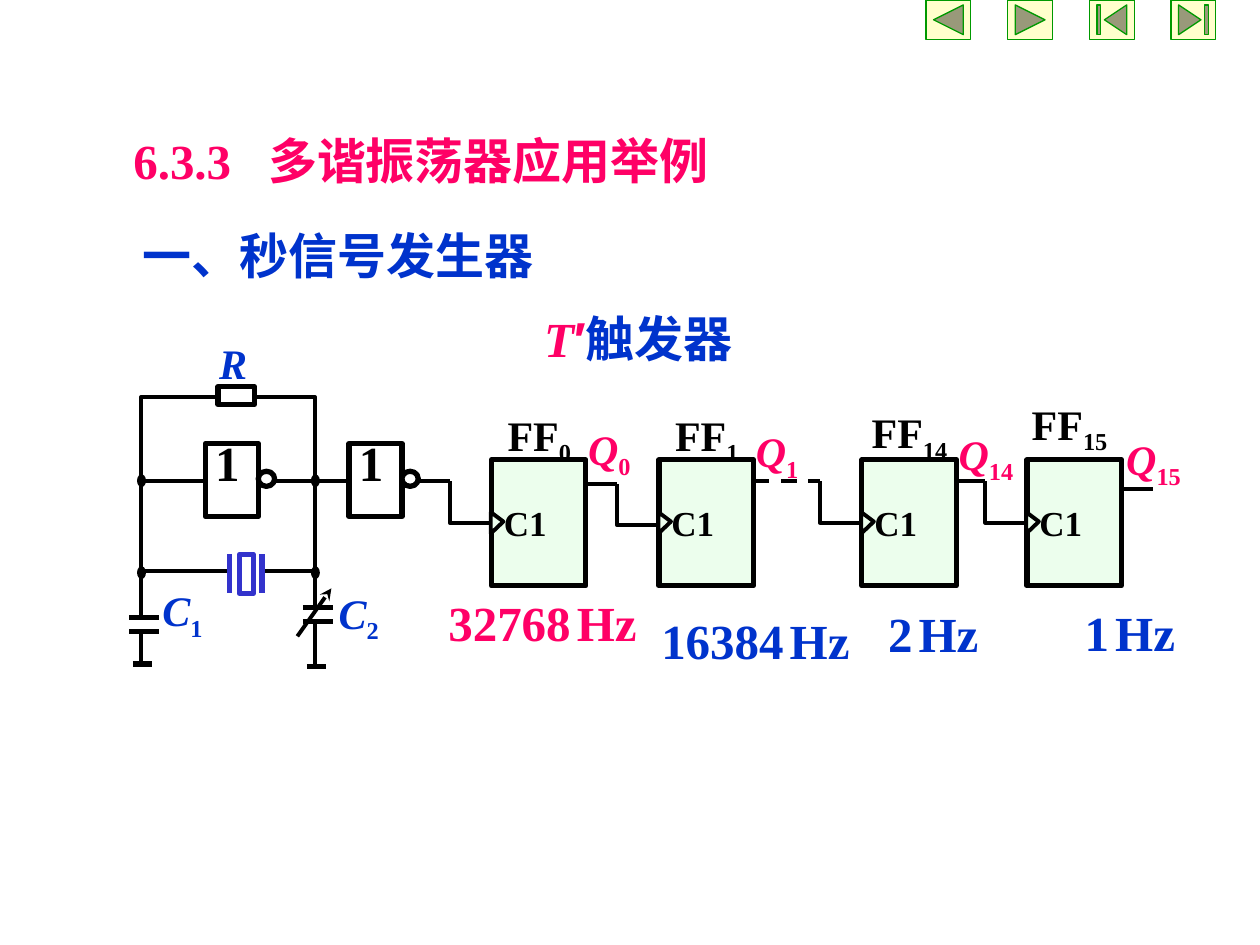
from lxml import etree
from pptx import Presentation
from pptx import util as u
from pptx.dml.color import RGBColor
from pptx.enum import dml, shapes, text
from pptx.oxml import ns

COLORS = {
    "ink": "000000", "paper": "FFFFFF", "pink": "FF0066", "blue": "0033CC",
    "crystal": "3333CC", "mint": "ECFEED", "button": "FFFFCC", "green": "009900",
}
SERIF = "Times New Roman"
THIN, WIRE, THICK = 0.75, 2.25, 3
SHAPE = shapes.MSO_SHAPE

# The slide is a grid of 100 columns by 75 rows; every length below is in cells.
WIDTH, HEIGHT = u.Inches(10), u.Inches(7.5)
COLUMNS, ROWS = 100, 75


def col(n):
    return round(WIDTH * n / COLUMNS)


def row(n):
    return round(HEIGHT * n / ROWS)


def place(box):
    left, top, width, height = box
    return col(left), row(top), col(width), row(height)


def rgb(name):
    return RGBColor.from_string(COLORS[name])


def style_line(line, color, width):
    line.color.rgb = rgb(color)
    line.width = u.Pt(width)


def draw(slide, kind, box, fill=None, line="ink", width=THICK):
    part = slide.shapes.add_shape(kind, *place(box))
    part.shadow.inherit = False
    if fill:
        part.fill.solid()
        part.fill.fore_color.rgb = rgb(fill)
    else:
        part.fill.background()
    if line:
        style_line(part.line, line, width)
    else:
        part.line.fill.background()
    return part


def wire(slide, start, end, color="ink", width=WIRE, dashed=False, arrow=False):
    link = slide.shapes.add_connector(
        shapes.MSO_CONNECTOR.STRAIGHT,
        col(start[0]), row(start[1]), col(end[0]), row(end[1]))
    style_line(link.line, color, width)
    if dashed:
        link.line.dash_style = dml.MSO_LINE.DASH
    if arrow:
        etree.SubElement(link.line._get_or_add_ln(), ns.qn("a:tailEnd"), type="stealth")
    etree.SubElement(link._element.spPr, ns.qn("a:effectLst"))


def fill_text(frame, runs, size=28, color="blue", font=SERIF, italic=False,
              wrap=True, tab=None):
    """Write runs given as (text, overrides); a tab stop is counted in columns."""
    frame.word_wrap = wrap
    line = frame.paragraphs[0]
    line.alignment = text.PP_ALIGN.LEFT
    if tab:
        stops = etree.SubElement(line._p.get_or_add_pPr(), ns.qn("a:tabLst"))
        etree.SubElement(stops, ns.qn("a:tab"), pos=str(col(tab)), algn="l")
    for words, own in runs:
        look = {"size": size, "color": color, "font": font, "italic": italic, "sub": False, **own}
        run = line.add_run()
        run.text = words
        run.font.size = u.Pt(look["size"])
        run.font.name = look["font"]
        run.font.bold = True
        run.font.italic = look["italic"]
        run.font.color.rgb = rgb(look["color"])
        if look["sub"]:
            run._r.get_or_add_rPr().set("baseline", "-25000")


def write(slide, box, runs, **look):
    frame = slide.shapes.add_textbox(*place(box)).text_frame
    if isinstance(runs, str):
        runs = [(runs, {})]
    fill_text(frame, runs, **look)


def symbol(slide, box, letters, index, **look):
    """Write letters with an upright subscript."""
    write(slide, box, [(letters, {}), (index, {"sub": True, "italic": False})], size=24, **look)


def headings(slide, box):
    left, top, width, height = box
    write(slide, (left, top, width, height), "6.3.3\t多谐振荡器应用举例", color="pink", tab=10.7)
    write(slide, (left + 0.7, top + 7.5, 40, height), "一、秒信号发生器")
    write(slide, (left + 32.6, top + 14.1, 19.9, height), [
        ("T", {"color": "pink", "italic": True}),
        ("′", {"color": "pink", "font": "Arial"}),
        ("触发器", {})])


def inverter(slide, box):
    left, top, width, height = box
    draw(slide, SHAPE.RECTANGLE, box, "paper")
    draw(slide, SHAPE.OVAL, (left + width, top + 2.2, 1.3, 1.2), "paper")
    write(slide, (left - 0.2, top - 1.4, 3.9, 5.7), "1", color="ink", wrap=False)


def crystal(slide, box):
    left, top, width, height = box
    draw(slide, SHAPE.RECTANGLE, box, "paper", line=None)
    draw(slide, SHAPE.RECTANGLE, (left + 0.8, top, 1.1, height), "paper", "crystal")
    for x in (left, left + width):
        wire(slide, (x, top), (x, top + height), "crystal", THICK)


def capacitor(slide, box, index, label_left, label_top):
    """A lead at the box's left edge, plates at its top, ground at its bottom."""
    x, top, width, height = box
    bottom = top + height
    wire(slide, (x, 45.5), (x, bottom), width=WIRE)
    draw(slide, SHAPE.RECTANGLE, (x - 0.95, top + 0.05, width, 1), "paper", line=None)
    for y in (top, top + 1.1):
        wire(slide, (x - 0.95, y), (x - 0.95 + width, y), width=THICK)
    wire(slide, (x - 0.65, bottom), (x + 0.9, bottom), width=THICK)
    symbol(slide, (label_left, label_top, 8.4, 5.6), "C", index, italic=True)


def oscillator(slide, box):
    left, top, width, height = box
    right, middle, bottom = left + width, top + 6.7, top + height + 0.2
    draw(slide, SHAPE.RECTANGLE, box, width=WIRE)
    wire(slide, (left, middle), (left + 24.5, middle))
    capacitor(slide, (left, top + 17.5, 2.35, 3.7), "1", left + 0.7, top + 14.4)
    capacitor(slide, (right, top + 16.7, 2.35, 4.7), "2", right + 0.9, top + 14.6)
    wire(slide, (right - 1.4, top + 19), (right + 1.3, top + 15.2), arrow=True)
    for x in (left, right):
        for y in (middle, bottom):
            draw(slide, SHAPE.OVAL, (x - 0.22, y - 0.45, 0.5, 0.8), "ink", width=1.5)
    draw(slide, SHAPE.RECTANGLE, (left + 6.1, top - 0.8, 2.9, 1.4), "paper")
    write(slide, (left + 5.2, top - 5.2, 8.3, 5), "R", size=24, italic=True)
    for x in (left + 5.1, left + 16.5):
        inverter(slide, (x, top + 3.7, 4.2, 5.8))
    crystal(slide, (left + 7, top + 12.5, 2.6, 3.1))


def flip_flop(slide, box, index, name_at, q_at, input_y, output):
    """Offsets are from the box's corner; output is (y, length, dashed)."""
    left, top, width, height = box
    body = draw(slide, SHAPE.RECTANGLE, box, "mint")
    body.text_frame.vertical_anchor = text.MSO_ANCHOR.MIDDLE
    fill_text(body.text_frame, [("C1", {})], size=20, color="ink", wrap=False)
    clock = draw(slide, SHAPE.ISOSCELES_TRIANGLE, (left - 0.4, top + 4.5, 1.7, 1), "mint", width=WIRE)
    clock.rotation = 90
    clock.adjustments[0] = 0.44

    step, y = 3.3, top + input_y
    path = slide.shapes.build_freeform(col(left - step), row(y))
    path.add_line_segments(
        [(col(left - step), row(y + step)), (col(left), row(y + step))], close=False)
    feed = path.convert_to_shape()
    feed.shadow.inherit = False
    feed.fill.background()
    style_line(feed.line, "ink", WIRE)

    out_y, length, dashed = output
    wire(slide, (left + width, top + out_y), (left + width + length, top + out_y), dashed=dashed)
    symbol(slide, (left + name_at[0], top + name_at[1], 10, 5.6), "FF", index, color="ink")
    symbol(slide, (left + q_at[0], top + q_at[1], 7.4, 5.6), "Q", index, color="pink", italic=True)


def divider_chain(slide, box):
    left, top, width, height = box
    stages = [
        (0, "0", (0.3, -4.5), (6.7, -3.4), 1.7, (1.9, 2.5, False)),
        (13.3, "1", (0.3, -4.5), (6.7, -3.2), 1.9, (1.7, 5.3, True)),
        (29.4, "14", (-0.2, -4.7), (6.7, -3), 1.7, (1.7, 2.3, False)),
        (42.5, "15", (-0.6, -5.4), (6.9, -2.6), 1.7, (2.3, 2.5, False)),
    ]
    for offset, *details in stages:
        flip_flop(slide, (left + offset, top, 7.5, height), *details)
    frequencies = [
        ("32768", -4.4, 10, 21.5, "pink"), ("16384", 12.5, 11.5, 17.7, "blue"),
        ("2", 30.5, 10.9, 12.9, "blue"), ("1", 46.1, 10.8, 12.1, "blue"),
    ]
    for value, dx, dy, span, color in frequencies:
        write(slide, (left + dx, top + dy, span, 5.7),
              [(value, {}), (" ", {"size": 14}), ("Hz", {})], color=color)


def navigation(slide, box):
    left, top, width, height = box
    kinds = [SHAPE.ACTION_BUTTON_BACK_OR_PREVIOUS, SHAPE.ACTION_BUTTON_FORWARD_OR_NEXT,
             SHAPE.ACTION_BUTTON_BEGINNING, SHAPE.ACTION_BUTTON_END]
    button = 3.55
    pitch = (width - button) / (len(kinds) - 1)
    for i, kind in enumerate(kinds):
        draw(slide, kind, (left + i * pitch, top, button, height), "button", "green", THIN)


def main():
    deck = Presentation()
    deck.slide_width, deck.slide_height = WIDTH, HEIGHT
    slide = deck.slides.add_slide(deck.slide_layouts[6])
    headings(slide, (9.6, 9.9, 67.5, 5.7))
    oscillator(slide, (11.2, 31.5, 13.8, 13.8))
    divider_chain(slide, (39, 36.5, 50, 10))
    navigation(slide, (73.5, 0, 23, 3.15))
    deck.save("out.pptx")


if __name__ == "__main__":
    main()
